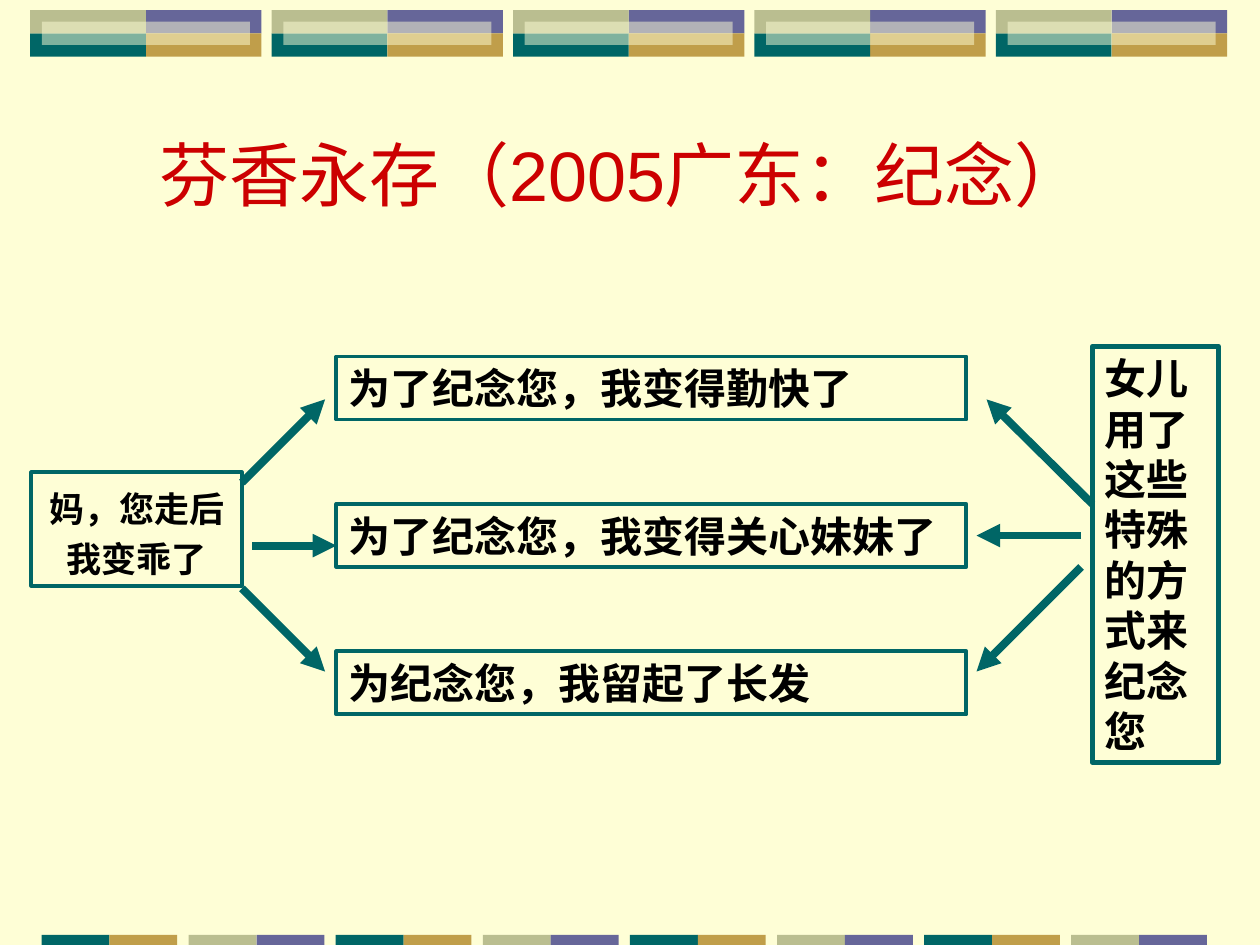
from lxml import etree
from pptx import Presentation
from pptx.dml.color import RGBColor
from pptx.enum.shapes import MSO_CONNECTOR, MSO_SHAPE
from pptx.enum.text import MSO_ANCHOR as Anchor, MSO_AUTO_SIZE as AutoSize, PP_ALIGN as Align
from pptx.oxml.ns import qn
from pptx.util import Inches, Pt

CREAM, TEAL, GOLD = "FEFED6", "006666", "C09E4A"
PURPLE, OLIVE, RED, BLACK = "666699", "BABE90", "CC0000", "000000"
CHINESE_FONT = "Noto Sans CJK SC"


def color(value):
    return RGBColor.from_string(value)


def add_rectangle(slide, box, fill=None, line=None, line_width=0):
    shape = slide.shapes.add_shape(MSO_SHAPE.RECTANGLE, *map(Inches, box))
    shape.shadow.inherit = False
    if fill:
        shape.fill.solid()
        shape.fill.fore_color.rgb = color(fill)
    else:
        shape.fill.background()
    if line:
        shape.line.color.rgb = color(line)
        shape.line.width = Pt(line_width)
    else:
        shape.line.fill.background()
    return shape


def set_text(shape, text, size, font, text_color=BLACK, bold=False, align=Align.LEFT):
    text_frame = shape.text_frame
    text_frame.word_wrap = True
    text_frame.vertical_anchor = Anchor.TOP
    text_frame.text = text
    paragraph = text_frame.paragraphs[0]
    paragraph.alignment = align
    run = paragraph.runs[0]
    run.font.size = Pt(size)
    run.font.name = font
    run.font.bold = bold
    run.font.color.rgb = color(text_color)
    # East Asian typeface for the Chinese characters
    etree.SubElement(run._r.get_or_add_rPr(), qn("a:ea"), typeface=CHINESE_FONT)
    return paragraph


def add_top_tile(slide, left, top, width, height):
    half_width, half_height = width / 2, height / 2
    quarters = [(1, 0, PURPLE), (1, 1, GOLD), (0, 1, TEAL), (0, 0, OLIVE)]
    for column, row, fill in quarters:
        add_rectangle(slide, (left + column * half_width, top + row * half_height,
                              half_width, half_height), fill)
    # Translucent bar over the middle
    inset = height / 4
    bar = add_rectangle(slide, (left + inset, top + inset,
                                width - 2 * inset, half_height), CREAM)
    fill_color = bar._element.spPr.find(qn("a:solidFill"))[0]
    etree.SubElement(fill_color, qn("a:alpha"), val="50000")


def add_top_band(slide, left, top, width, height, count=5, gap=0.08):
    pitch = (width + gap) / count
    for index in range(count):
        add_top_tile(slide, left + index * pitch, top, pitch - gap, height)


def add_bottom_band(slide, left, top, width, height, count=8, gap=0.09):
    pitch = (width + gap) / count
    half = (pitch - gap) / 2
    for index in range(count):
        pair = (OLIVE, PURPLE) if index % 2 else (TEAL, GOLD)
        for side, fill in enumerate(pair):
            add_rectangle(slide, (left + index * pitch + side * half, top, half, height), fill)


def add_title(slide, box):
    title = slide.shapes.add_textbox(*map(Inches, box))
    set_text(title, "芬香永存（2005广东：纪念） ", 40, "Arial", RED, align=Align.CENTER)
    title.text_frame.vertical_anchor = Anchor.MIDDLE


def add_label(slide, box, text, size=24, font=CHINESE_FONT, line_width=2.25, align=Align.LEFT):
    shape = add_rectangle(slide, box, line=TEAL, line_width=line_width)
    paragraph = set_text(shape, text, size, font, bold=True, align=align)
    shape.text_frame.auto_size = AutoSize.SHAPE_TO_FIT_TEXT
    return paragraph


def add_arrow(slide, start, end):
    arrow = slide.shapes.add_connector(MSO_CONNECTOR.STRAIGHT, *map(Inches, start + end))
    arrow.line.color.rgb = color(TEAL)
    arrow.line.width = Pt(4.5)
    etree.SubElement(arrow.line._get_or_add_ln(), qn("a:tailEnd"), type="triangle")
    etree.SubElement(arrow._element.spPr, qn("a:effectLst"))


def add_diagram(slide, left, top, width, height):
    # Cause on the left
    cause = add_label(slide, (left, top + 1, 1.67, 0.9), "妈，您走后我变乖了",
                      size=20, align=Align.CENTER)
    cause.line_spacing = 1.2

    # Three changes in the middle
    changes = ["为了纪念您，我变得勤快了", "为了纪念您，我变得关心妹妹了", "为纪念您，我留起了长发"]
    for index, text in enumerate(changes):
        add_label(slide, (left + 2.42, top + 0.08 + index * 1.17, 5, 0.5), text)

    # Summary on the right
    add_label(slide, (left + width - 1, top, 1, height), "女儿用了这些特殊的方式来纪念您",
              font="Times New Roman", line_width=3)

    # Arrows from both sides towards the changes
    arrows = [
        ((1.75, 1.58), (2.42, 1.58)),
        ((1.67, 1.92), (2.33, 2.58)),
        ((1.67, 1.08), (2.33, 0.42)),
        ((8.42, 1.25), (7.58, 0.42)),
        ((8.33, 1.5), (7.5, 1.5)),
        ((8.33, 1.75), (7.5, 2.58)),
    ]
    for start, end in arrows:
        add_arrow(slide, (left + start[0], top + start[1]), (left + end[0], top + end[1]))


def main():
    presentation = Presentation()
    presentation.slide_width, presentation.slide_height = Inches(10), Inches(7.5)
    slide = presentation.slides.add_slide(presentation.slide_layouts[6])
    slide.background.fill.solid()
    slide.background.fill.fore_color.rgb = color(CREAM)

    add_top_band(slide, 0.24, 0.08, 9.5, 0.37)
    add_bottom_band(slide, 0.33, 7.42, 9.25, 0.08)
    add_title(slide, (0, 0.75, 10, 1.25))
    add_diagram(slide, 0.25, 2.75, 9.42, 3.3)
    presentation.save("out.pptx")


if __name__ == "__main__":
    main()
